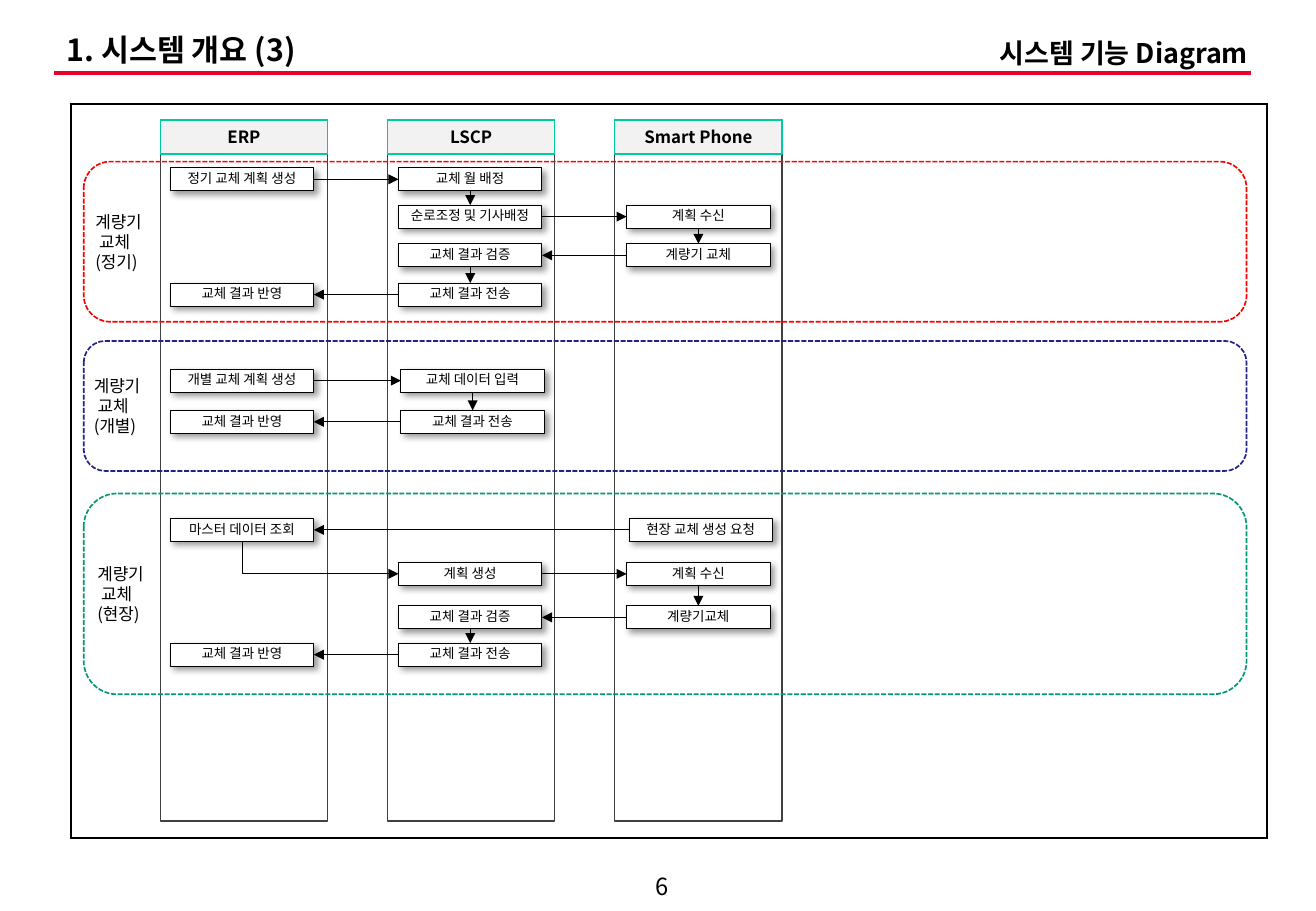
from lxml import etree
from pptx import Presentation
from pptx import util as u
from pptx.dml import color as dml
from pptx.enum import dml as styles
from pptx.enum import shapes, text
from pptx.oxml import ns

FONT = "Noto Sans CJK KR"
LANES = ["ERP", "LSCP", "Smart Phone"]
LANE_LEFT, LANE_STEP, LANE_WIDTH = 3.35, 4.75, 3.5
LANE_TOP, LANE_HEIGHT, HEADER_HEIGHT = 2.51, 14.66, 0.71
BOX_LEFT, BOX_STEP, BOX_WIDTH, BOX_HEIGHT = 3.56, 4.77, 3.0, 0.48
SHIFT = 0.05
TOP, LEFT, BOTTOM, RIGHT = range(4)

# Steps are (lane, top, text, shift); flows join steps by their position.
SECTIONS = [
    {
        "kind": "(정기)", "color": "FF0000", "top": 3.38, "height": 3.35,
        "steps": [
            (0, 3.51, "정기 교체 계획 생성", 0),
            (1, 3.51, "교체 월 배정", 0),
            (1, 4.29, "순로조정 및 기사배정", 0),
            (2, 4.29, "계획 수신", 0),
            (2, 5.1, "계량기 교체", 0),
            (1, 5.1, "교체 결과 검증", 0),
            (1, 5.92, "교체 결과 전송", 0),
            (0, 5.92, "교체 결과 반영", 0),
        ],
    },
    {
        "kind": "(개별)", "color": "22228B", "top": 7.13, "height": 2.72,
        "steps": [
            (0, 7.72, "개별 교체 계획 생성", 0),
            (1, 7.72, "교체 데이터 입력", SHIFT),
            (1, 8.58, "교체 결과 전송", SHIFT),
            (0, 8.58, "교체 결과 반영", 0),
        ],
    },
    {
        "kind": "(현장)", "color": "009973", "top": 10.32, "height": 4.2,
        "steps": [
            (2, 10.84, "현장 교체 생성 요청", SHIFT),
            (0, 10.84, "마스터 데이터 조회", 0),
            (1, 11.76, "계획 생성", 0),
            (2, 11.76, "계획 수신", 0),
            (2, 12.67, "계량기교체", 0),
            (1, 12.67, "교체 결과 검증", 0),
            (1, 13.45, "교체 결과 전송", 0),
            (0, 13.45, "교체 결과 반영", 0),
        ],
    },
]


def rgb(value):
    return dml.RGBColor.from_string(value)


def add_xml(parent, tag, **attributes):
    return etree.SubElement(parent, ns.qn(tag), attributes)


def write_text(frame, content, size=10, bold=False, align=text.PP_ALIGN.LEFT,
               anchor=text.MSO_ANCHOR.MIDDLE, margins=(0.25, 0.13), wrap=True,
               spacing=1.0, indents=(0,)):
    frame.auto_size = text.MSO_AUTO_SIZE.NONE
    frame.word_wrap = wrap
    frame.vertical_anchor = anchor
    frame.margin_left = frame.margin_right = u.Cm(margins[0])
    frame.margin_top = frame.margin_bottom = u.Cm(margins[1])
    frame.text = content
    for paragraph, indent in zip(frame.paragraphs, indents):
        paragraph.alignment = align
        paragraph.line_spacing = spacing
        properties = paragraph._p.get_or_add_pPr()
        properties.set("marL", str(u.Cm(indent)))
        properties.set("indent", "0")
        for run in paragraph.runs:
            run.font.size = u.Pt(size)
            run.font.bold = bold
            run.font.name = FONT
            run.font.color.rgb = rgb("000000")
            add_xml(run._r.get_or_add_rPr(), "a:ea", typeface=FONT)


def add_box(slide, left, top, width, height, line, weight, fill=None,
            kind=shapes.MSO_SHAPE.RECTANGLE):
    shape = slide.shapes.add_shape(kind, u.Cm(left), u.Cm(top), u.Cm(width), u.Cm(height))
    shape.shadow.inherit = False
    shape.line.color.rgb = rgb(line)
    shape.line.width = u.Pt(weight)
    if fill:
        shape.fill.solid()
        shape.fill.fore_color.rgb = rgb(fill)
    else:
        shape.fill.background()
    return shape


def add_label(slide, left, top, width, height, content, **style):
    label = slide.shapes.add_textbox(u.Cm(left), u.Cm(top), u.Cm(width), u.Cm(height))
    write_text(label.text_frame, content, **style)


def add_line(slide, kind, points, color, weight):
    connector = slide.shapes.add_connector(kind, *[u.Cm(point) for point in points])
    connector.line.color.rgb = rgb(color)
    connector.line.width = u.Pt(weight)
    add_xml(connector._element.spPr, "a:effectLst")
    return connector


def add_frame(slide):
    table = slide.shapes.add_table(1, 1, u.Cm(1.48), u.Cm(2.18), u.Cm(25), u.Cm(15.34)).table
    cell = table.cell(0, 0)
    cell.fill.solid()
    cell.fill.fore_color.rgb = rgb("FFFFFF")
    properties = cell._tc.get_or_add_tcPr()
    for index, side in enumerate("LRTB"):
        border = add_xml(properties, f"a:ln{side}", w=str(u.Pt(1.5)))
        add_xml(add_xml(border, "a:solidFill"), "a:srgbClr", val="000000")
        properties.insert(index, border)


def add_lane(slide, index, name):
    left = LANE_LEFT + index * LANE_STEP
    add_box(slide, left, LANE_TOP, LANE_WIDTH, LANE_HEIGHT, "404040", 0.75)
    header = add_box(slide, left, LANE_TOP, LANE_WIDTH, HEADER_HEIGHT, "00CC99", 0.75, "F2F2F2")
    write_text(header.text_frame, name, bold=True, wrap=False, margins=(0.1, 0.13),
               align=text.PP_ALIGN.CENTER, anchor=text.MSO_ANCHOR.TOP)


def add_step(slide, lane, top, content, shift):
    left = BOX_LEFT + lane * BOX_STEP + shift
    box = add_box(slide, left, top, BOX_WIDTH, BOX_HEIGHT, "000000", 0.5, "FFFFFF")
    effects = box._element.spPr.find(ns.qn("a:effectLst"))
    shadow = add_xml(effects, "a:outerShdw", blurRad=str(u.Pt(4)), dist=str(u.Pt(3)),
                     dir="2700000", algn="tl", rotWithShape="0")
    add_xml(add_xml(shadow, "a:srgbClr", val="000000"), "a:alpha", val="40000")
    write_text(box.text_frame, content, size=8, spacing=0.9, margins=(0.05, 0.1),
               align=text.PP_ALIGN.CENTER)
    return box


def turn_down_then_right(connector):
    left, top, width, height = connector.left, connector.top, connector.width, connector.height
    connector.left = left + (width - height) // 2
    connector.top = top + (height - width) // 2
    connector.width, connector.height = height, width
    properties = connector._element.spPr
    properties.find(ns.qn("a:prstGeom")).set("prst", "bentConnector2")
    transform = properties.find(ns.qn("a:xfrm"))
    transform.set("rot", "16200000")
    transform.set("flipH", "1")


def add_flow(slide, start, end, start_step, end_step):
    (start_lane, start_top), (end_lane, end_top) = start_step[:2], end_step[:2]
    bent = start_lane != end_lane and start_top != end_top
    if bent:
        sites = BOTTOM, LEFT
    elif start_lane == end_lane:
        sites = BOTTOM, TOP
    else:
        sites = (RIGHT, LEFT) if start_lane < end_lane else (LEFT, RIGHT)
    kind = shapes.MSO_CONNECTOR.ELBOW if bent else shapes.MSO_CONNECTOR.STRAIGHT
    connector = add_line(slide, kind, (0, 0, 0, 0), "000000", 0.5)
    connector.begin_connect(start, sites[0])
    connector.end_connect(end, sites[1])
    add_xml(connector._element.spPr.find(ns.qn("a:ln")), "a:tailEnd", type="triangle")
    if bent:
        turn_down_then_right(connector)


def add_section(slide, section):
    steps = section["steps"]
    boxes = [add_step(slide, *step) for step in steps]
    for flow in zip(boxes, boxes[1:], steps, steps[1:]):
        add_flow(slide, *flow)
    outline = add_box(slide, 1.75, section["top"], 24.31, section["height"], section["color"], 1,
                      kind=shapes.MSO_SHAPE.ROUNDED_RECTANGLE)
    outline.line.dash_style = styles.MSO_LINE.SQUARE_DOT
    write_text(outline.text_frame, "\n".join(["계량기", "교체", section["kind"]]),
               margins=(0, 0), indents=(0.08, 0.16, 0.08))


def main():
    presentation = Presentation()
    presentation.slide_width, presentation.slide_height = u.Cm(27.51), u.Cm(19.05)
    slide = presentation.slides.add_slide(presentation.slide_layouts[5])
    title = slide.shapes.title
    title.left, title.top, title.width, title.height = map(u.Cm, (1.14, 0.61, 20.4, 0.94))
    write_text(title.text_frame, "1. 시스템 개요 (3)", size=18, bold=True, spacing=0.9)
    add_line(slide, shapes.MSO_CONNECTOR.STRAIGHT, (1.14, 1.52, 26.16, 1.52), "EA002C", 2.25)
    add_label(slide, 19.38, 0.64, 6.96, 0.94, "시스템 기능 Diagram", size=16, bold=True,
              align=text.PP_ALIGN.RIGHT, anchor=text.MSO_ANCHOR.TOP)
    add_label(slide, 12.95, 18.14, 1.8, 0.79, "6", size=14, align=text.PP_ALIGN.CENTER)
    add_frame(slide)
    for index, name in enumerate(LANES):
        add_lane(slide, index, name)
    for section in SECTIONS:
        add_section(slide, section)
    presentation.save("out.pptx")


main()
